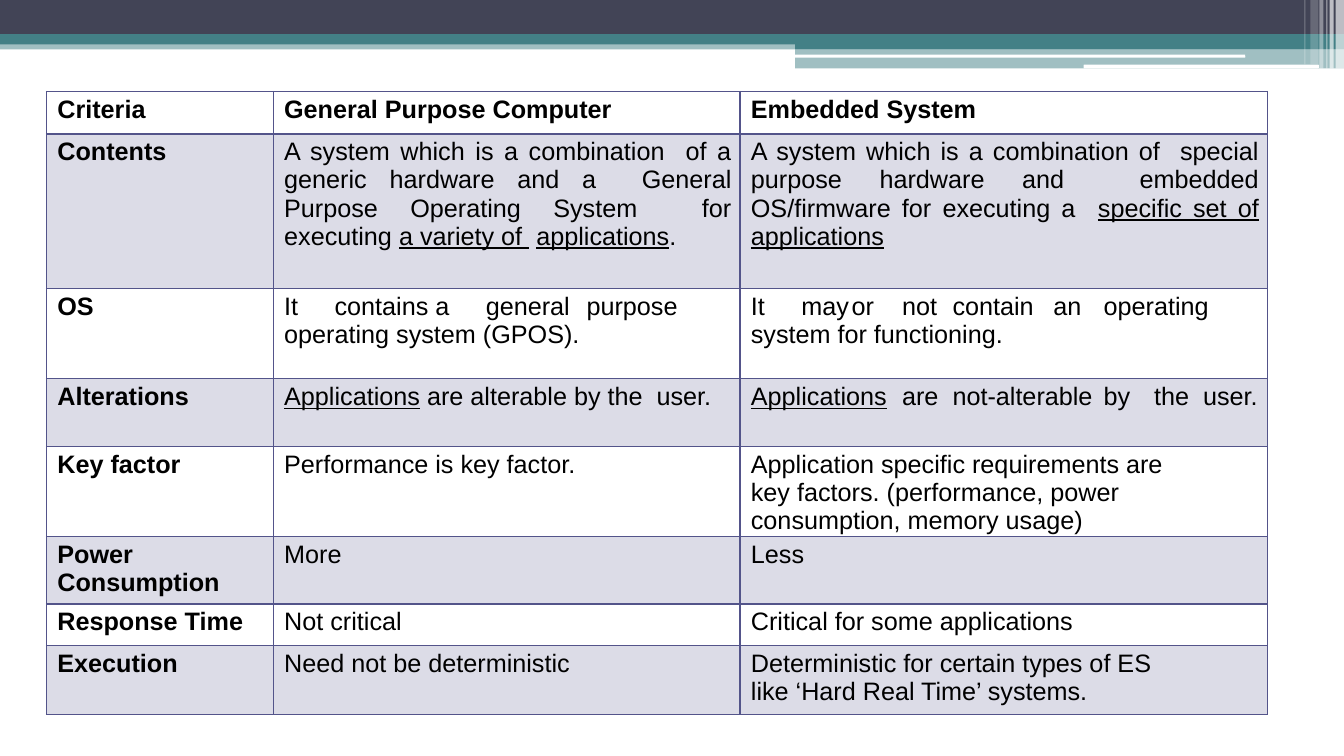
from dataclasses import dataclass

import pptx
import pptx.dml.color
import pptx.enum.shapes
import pptx.enum.text
import pptx.oxml
import pptx.oxml.ns
import pptx.util

Pt = pptx.util.Pt
RGBColor = pptx.dml.color.RGBColor
RECTANGLE = pptx.enum.shapes.MSO_SHAPE.RECTANGLE
ROUNDED = pptx.enum.shapes.MSO_SHAPE.ROUNDED_RECTANGLE
JUSTIFY = pptx.enum.text.PP_ALIGN.JUSTIFY
LEFT = pptx.enum.text.PP_ALIGN.LEFT

NAVY = RGBColor(0x42, 0x44, 0x56)
TEAL = RGBColor(0x43, 0x80, 0x86)
WHITE = RGBColor(0xFF, 0xFF, 0xFF)
BLACK = RGBColor(0x00, 0x00, 0x00)
VIOLET = RGBColor(0x53, 0x54, 0x8A)


@dataclass(frozen=True)
class Band:
    left: float
    top: float
    width: float
    height: float
    color: RGBColor
    opacity: int = 100
    kind: int = RECTANGLE


@dataclass(frozen=True)
class Run:
    text: str
    underline: bool = False


@dataclass(frozen=True)
class Row:
    height: float
    criterion: str
    general: list[list[Run]]
    embedded: list[list[Run]]
    alignment: int = LEFT


def lines(*texts: str) -> list[list[Run]]:
    """One plain paragraph for each text."""
    return [[Run(text)] for text in texts]


BANDS = [
    Band(0, 28.8, 960, 6.5, TEAL, 50),
    Band(0, 0, 960, 24.5, NAVY),
    Band(0, 24.5, 960, 7.2, TEAL),
    Band(568, 28, 392, 7, TEAL),
    Band(568, 34.6, 392, 14.2, TEAL, 50),
    Band(567.5, 39, 322, 2.2, WHITE, kind=ROUNDED),
    Band(774, 46.2, 168, 2.6, WHITE, kind=ROUNDED),
    # Light stripes at the right edge
    Band(954, 0, 6, 49, WHITE, 65),
    Band(949.7, 0, 2.9, 49, WHITE, 65),
    Band(947.5, 0, 0.72, 49, WHITE, 60),
    Band(942.5, 0, 2.9, 49, WHITE, 40),
    Band(936, 0, 5.8, 46, WHITE, 20),
    Band(931.7, 0, 0.72, 46, WHITE, 30),
]

COLUMN_WIDTHS = [162, 333.4, 376.6]
ROWS = [
    Row(30.2, "Criteria", lines("General Purpose Computer"), lines("Embedded System")),
    Row(
        110.4, "Contents",
        [[
            Run("A system which is a combination  of a generic hardware and a  "
                "General Purpose Operating System  for executing "),
            Run("a variety of ", True), Run(" "), Run("applications", True), Run("."),
        ]],
        [[
            Run("A system which is a combination of  special purpose hardware and  "
                "embedded OS/firmware for executing a  "),
            Run("specific set of applications", True),
        ]],
        JUSTIFY,
    ),
    Row(64.6, "OS",
        lines("It\tcontains\ta\tgeneral\tpurpose  operating system (GPOS)."),
        lines("It\tmay\tor\tnot\tcontain\tan\toperating  system for functioning.")),
    Row(48.2, "Alterations",
        [[Run("Applications", True), Run(" are alterable by the  user.")]],
        [[Run("Applications", True), Run("\tare\tnot-alterable\tby\tthe  user.")]]),
    Row(64.6, "Key factor",
        lines("Performance is key factor."),
        lines("Application specific requirements are",
              "key factors. (performance, power consumption, memory usage)")),
    Row(48.2, "Power  Consumption", lines("More"), lines("Less")),
    Row(29.4, "Response Time", lines("Not critical"),
        lines("Critical for some applications")),
    Row(49.7, "Execution",
        lines("Need not be deterministic"),
        lines("Deterministic for certain types of ES",
              "like ‘Hard Real Time’ systems.")),
]


def set_solid_fill(fill, properties, color: RGBColor, opacity: int) -> None:
    fill.solid()
    fill.fore_color.rgb = color
    if opacity < 100:
        color_element = properties.find(".//" + pptx.oxml.ns.qn("a:srgbClr"))
        alpha = color_element.makeelement(
            pptx.oxml.ns.qn("a:alpha"), {"val": str(opacity * 1000)})
        color_element.append(alpha)


def draw_band(slide, band: Band) -> None:
    shape = slide.shapes.add_shape(
        band.kind, Pt(band.left), Pt(band.top), Pt(band.width), Pt(band.height))
    shape.shadow.inherit = False
    shape.line.fill.background()
    set_solid_fill(shape.fill, shape.element.spPr, band.color, band.opacity)


def set_borders(properties, bottom_width: float, top_width: float) -> None:
    widths = {"lnL": 1, "lnR": 1, "lnT": top_width, "lnB": bottom_width}
    for position, (side, width) in enumerate(widths.items()):
        border = pptx.oxml.parse_xml(
            f'<a:{side} {pptx.oxml.ns.nsdecls("a")} w="{Pt(width)}">'
            f'<a:solidFill><a:srgbClr val="{VIOLET}"/></a:solidFill></a:{side}>')
        properties.insert(position, border)


def write_cell(cell, paragraphs: list[list[Run]], bold: bool, alignment: int) -> None:
    cell.margin_left, cell.margin_right = Pt(7.8), Pt(6)
    cell.margin_top, cell.margin_bottom = Pt(2.9), Pt(0)
    for index, runs in enumerate(paragraphs):
        frame = cell.text_frame
        paragraph = frame.add_paragraph() if index else frame.paragraphs[0]
        paragraph.alignment = alignment
        for item in runs:
            run = paragraph.add_run()
            run.text = item.text
            run.font.name = "Arial"
            run.font.size = Pt(18)
            run.font.bold = bold
            run.font.underline = item.underline
            run.font.color.rgb = BLACK


def draw_table(slide) -> None:
    frame = slide.shapes.add_table(
        len(ROWS), len(COLUMN_WIDTHS), Pt(33.2), Pt(65.4),
        Pt(sum(COLUMN_WIDTHS)), Pt(sum(row.height for row in ROWS)))
    table = frame.table
    table.first_row = table.horz_banding = False
    for column, width in zip(table.columns, COLUMN_WIDTHS):
        column.width = Pt(width)
    for row_index, row in enumerate(ROWS):
        table.rows[row_index].height = Pt(row.height)
        contents = [lines(row.criterion), row.general, row.embedded]
        for column_index, paragraphs in enumerate(contents):
            cell = table.cell(row_index, column_index)
            is_label = column_index == 0
            write_cell(cell, paragraphs, is_label or row_index == 0,
                       LEFT if is_label else row.alignment)
            properties = cell._tc.get_or_add_tcPr()
            if row_index % 2:
                set_solid_fill(cell.fill, properties, VIOLET, 20)
            else:
                cell.fill.background()
            set_borders(properties, 2 if row_index == 0 else 1,
                        2 if row_index == 1 else 1)


def main() -> None:
    presentation = pptx.Presentation()
    presentation.slide_width, presentation.slide_height = Pt(960), Pt(540)
    slide = presentation.slides.add_slide(presentation.slide_layouts[6])

    # Header decoration
    for band in BANDS:
        draw_band(slide, band)

    # Comparison table
    draw_table(slide)
    presentation.save("out.pptx")


if __name__ == "__main__":
    main()
